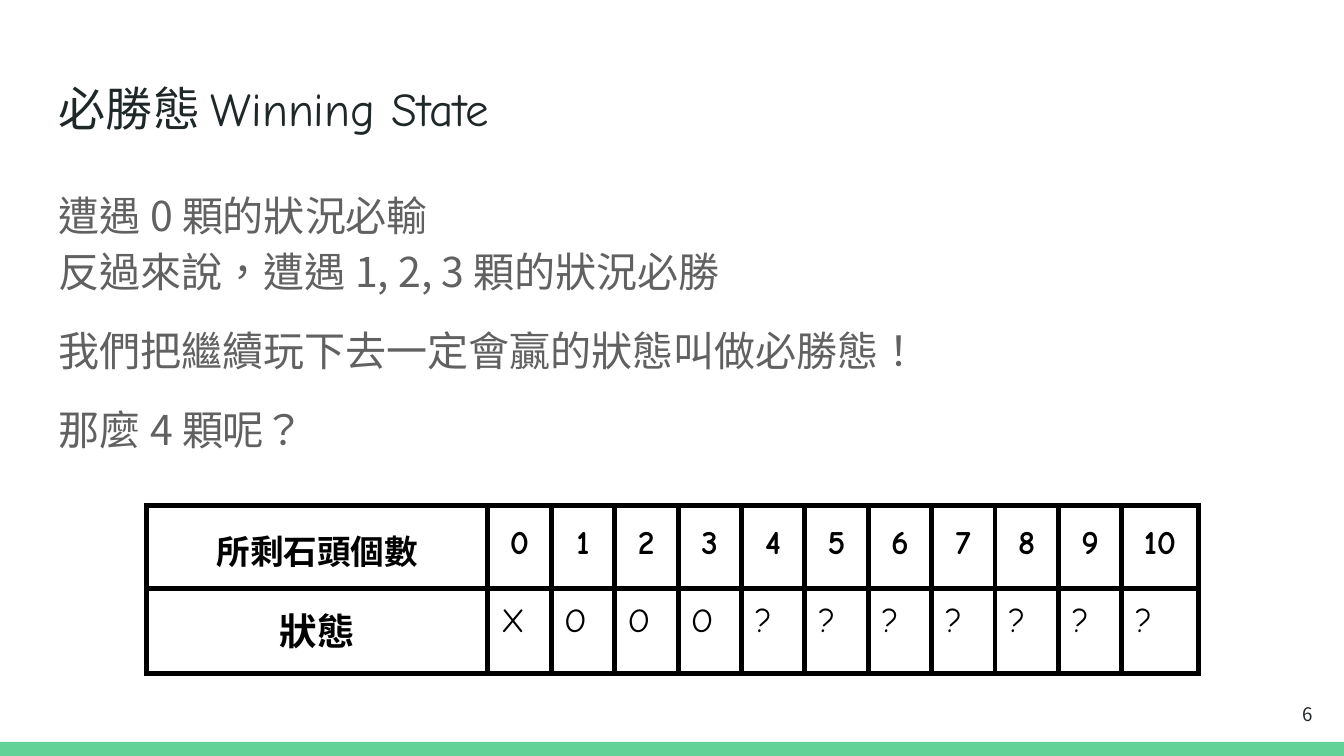
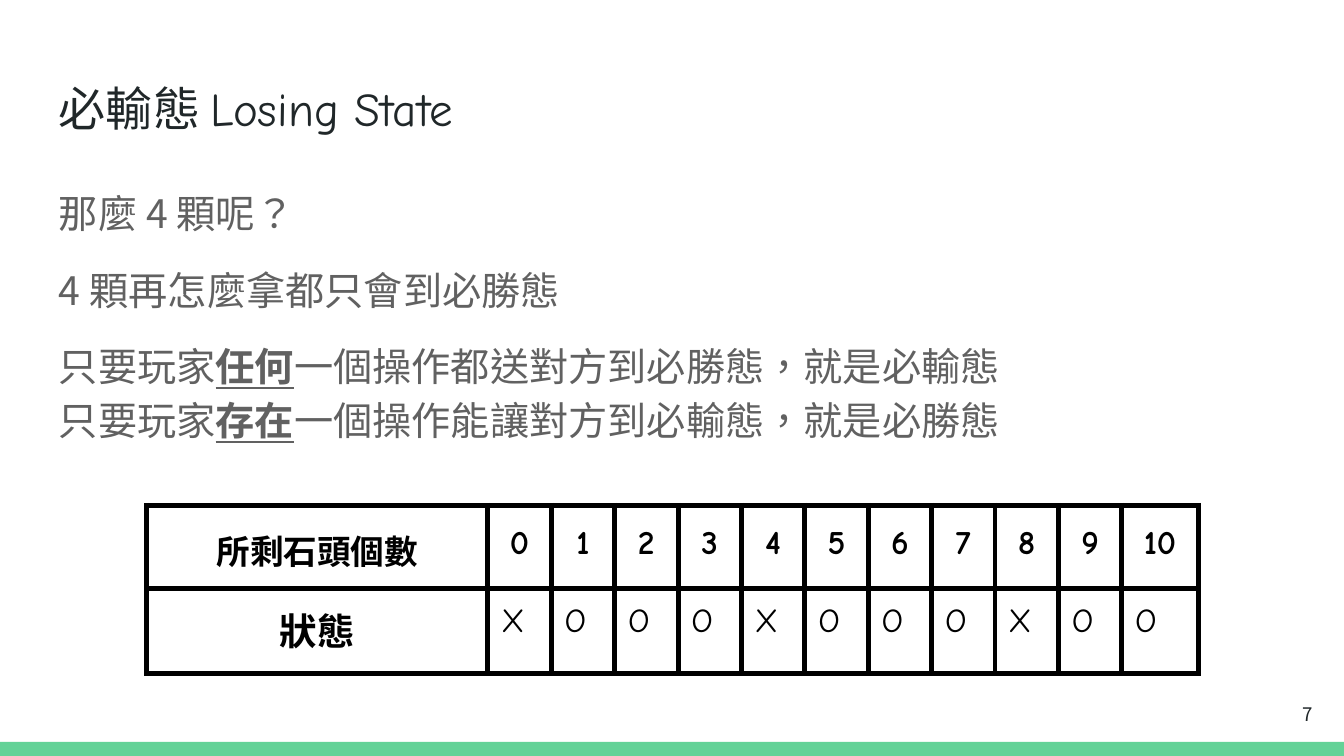
from lxml.etree import SubElement
from pptx import Presentation
from pptx.dml.color import RGBColor
from pptx.enum.shapes import MSO_SHAPE
from pptx.enum.text import MSO_ANCHOR as ANCHOR, PP_ALIGN as ALIGN
from pptx.oxml.ns import qn
from pptx.util import Inches, Pt

WIDTH = 10
HEIGHT = WIDTH * 9 / 16
GREEN, DARK, GRAY, BLACK, WHITE = "63D297", "202729", "616161", "000000", "FFFFFF"
CJK, COMIC = "Noto Sans CJK TC", "Comic Neue"
INSET = Inches(0.1)

BAND_BOX = (0, 5.52, WIDTH, HEIGHT - 5.52)
TITLE_BOX = (0.34, 0.49, 9.32, 0.63)
BODY_BOX = (0.34, 1.26, 9.32, 3.74)
NUMBER_BOX = (9.27, 5.1, 0.6, 0.43)
TABLE_BOX = (1.09, 3.76, 7.83, 1.25)
LABEL_WIDTH, LAST_WIDTH, HEADER_HEIGHT = 2.54, 0.57, 0.62

# Each body paragraph is a list of (text, emphasised) runs.
SLIDES = [
    dict(
        number=6, title="必勝態 ", english="Winning State", size=22,
        body=[
            [("遭遇 0 顆的狀況必輸\n反過來說，遭遇 1, 2, 3 顆的狀況必勝", False)],
            [("我們把繼續玩下去一定會贏的狀態叫做必勝態！", False)],
            [("那麼 4 顆呢？", False)],
        ],
        states="XOOO???????",
    ),
    dict(
        number=7, title="必輸態 ", english="Losing State", size=21,
        body=[
            [("那麼 4 顆呢？", False)],
            [("4 顆再怎麼拿都只會到必勝態", False)],
            [
                ("只要玩家", False), ("任何", True),
                ("一個操作都送對方到必勝態，就是必輸態\n只要玩家", False),
                ("存在", True),
                ("一個操作能讓對方到必輸態，就是必勝態", False),
            ],
        ],
        states="XOOOXOOOXOO",
    ),
]


def rgb(color):
    return RGBColor.from_string(color)


def inches(box):
    return [Inches(v) for v in box]


def add_run(p, text, size, color, face=CJK, bold=False, underline=False):
    """Add text to a paragraph, turning each newline into a line break."""
    for i, line in enumerate(text.split("\n")):
        if i:
            p.add_line_break()
        r = p.add_run()
        r.text = line
        font = r.font
        font.size, font.name = Pt(size), face
        font.bold, font.underline = bold, underline
        font.color.rgb = rgb(color)
        font._element.set("lang", "zh-TW")
        for tag in ("a:ea", "a:cs"):
            SubElement(font._element, qn(tag), typeface=face)


def set_insets(target):
    target.margin_left = target.margin_right = INSET
    target.margin_top = target.margin_bottom = INSET


def add_text_frame(slide, box, anchor=ANCHOR.TOP):
    tf = slide.shapes.add_textbox(*inches(box)).text_frame
    tf.word_wrap = True
    tf.vertical_anchor = anchor
    set_insets(tf)
    return tf


def add_band(slide, box):
    sp = slide.shapes.add_shape(MSO_SHAPE.RECTANGLE, *inches(box))
    sp.shadow.inherit = False
    sp.fill.solid()
    sp.fill.fore_color.rgb = rgb(GREEN)
    sp.line.fill.background()


def add_title(slide, box, title, english):
    p = add_text_frame(slide, box).paragraphs[0]
    add_run(p, title, 25.2, DARK)
    add_run(p, english, 25.2, DARK, COMIC)


def add_body(slide, box, paragraphs, size):
    tf = add_text_frame(slide, box)
    for i, runs in enumerate(paragraphs):
        p = tf.add_paragraph() if i else tf.paragraphs[0]
        p.line_spacing = 1.15
        p.space_before = Pt(12 if i else 0)
        for text, strong in runs:
            add_run(p, text, size, GRAY, bold=strong, underline=strong)


def add_number(slide, box, number):
    p = add_text_frame(slide, box, ANCHOR.MIDDLE).paragraphs[0]
    p.alignment = ALIGN.RIGHT
    add_run(p, str(number), 10, DARK)


def set_borders(cell, color, width):
    tc_pr = cell._tc.get_or_add_tcPr()
    for side in ("a:lnL", "a:lnR", "a:lnT", "a:lnB"):
        ln = SubElement(tc_pr, qn(side), w=str(Pt(width)))
        fill = SubElement(ln, qn("a:solidFill"))
        SubElement(fill, qn("a:srgbClr"), val=color)


def add_state_table(slide, box, states):
    """Show the state of the game for each number of stones left."""
    counts = [str(n) for n in range(len(states))]
    rows = [["所剩石頭個數", *counts], ["狀態", *states]]
    table = slide.shapes.add_table(len(rows), len(rows[0]), *inches(box)).table
    table.first_row = table.horz_banding = False

    width, height = box[2:]
    inner = len(states) - 1
    inner_width = (width - LABEL_WIDTH - LAST_WIDTH) / inner
    widths = [LABEL_WIDTH, *[inner_width] * inner, LAST_WIDTH]
    for column, column_width in zip(table.columns, widths):
        column.width = Inches(column_width)
    for row, row_height in zip(table.rows, (HEADER_HEIGHT, height - HEADER_HEIGHT)):
        row.height = Inches(row_height)

    for y, texts in enumerate(rows):
        for x, text in enumerate(texts):
            header, label = y == 0, x == 0
            cell = table.cell(y, x)
            set_insets(cell)
            set_borders(cell, BLACK, 3)
            cell.fill.solid()
            cell.fill.fore_color.rgb = rgb(WHITE)
            p = cell.text_frame.paragraphs[0]
            p.alignment = ALIGN.CENTER if header or label else ALIGN.LEFT
            p.line_spacing = 1.15 if header else 1.0
            add_run(p, text, 20 if label and not header else 18, BLACK,
                    CJK if label else COMIC, bold=header or label)


def add_state_slide(prs, content):
    slide = prs.slides.add_slide(prs.slide_layouts[6])
    add_band(slide, BAND_BOX)
    add_title(slide, TITLE_BOX, content["title"], content["english"])
    add_body(slide, BODY_BOX, content["body"], content["size"])
    add_state_table(slide, TABLE_BOX, content["states"])
    add_number(slide, NUMBER_BOX, content["number"])


def main():
    prs = Presentation()
    prs.slide_width, prs.slide_height = Inches(WIDTH), Inches(HEIGHT)
    for content in SLIDES:
        add_state_slide(prs, content)
    prs.save("out.pptx")


if __name__ == "__main__":
    main()
